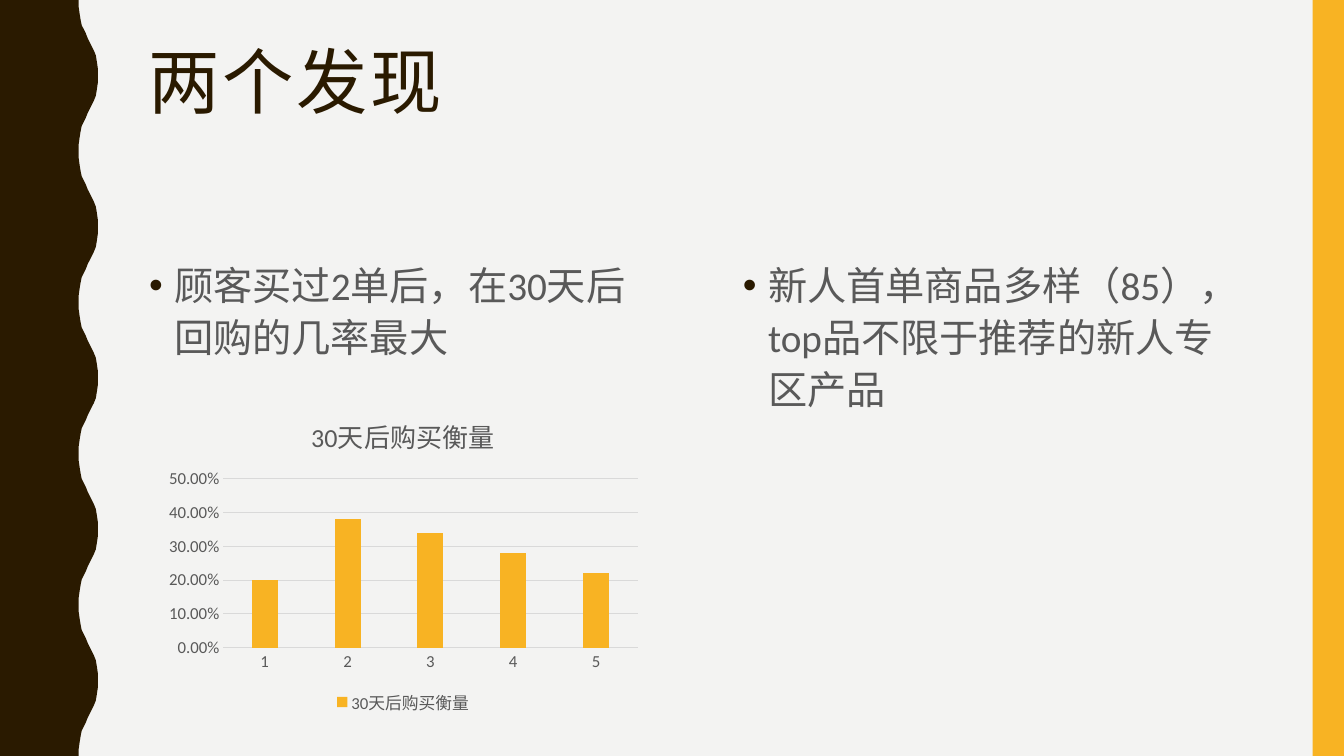
from collections import namedtuple

from lxml import etree
from pptx import Presentation
from pptx.chart.data import CategoryChartData
from pptx.dml.color import RGBColor
from pptx.enum.chart import XL_CHART_TYPE, XL_LEGEND_POSITION, XL_TICK_MARK
from pptx.enum.shapes import MSO_SHAPE
from pptx.enum.text import MSO_ANCHOR
from pptx.oxml.ns import qn
from pptx.util import Inches, Pt

Box = namedtuple("Box", "left top width height")

BROWN, AMBER, GREY, RULE, PAPER = "2A1A00", "F8B323", "595959", "D9D9D9", "F3F3F2"
TITLE_FONT, BODY_FONT = "Arial Narrow", "Calibri"
WAVES = 5
WAVE_RISE = [(78, 0), (78, 7), (79, 14), (80, 20), (81, 25), (83, 29), (85, 33),
             (87, 38), (89, 42), (91, 46), (93, 50), (95, 55), (96, 61), (97, 68), (97, 75)]
WAVE_LENGTH = 150
MEASURE = "30天后购买衡量"
REPURCHASE_RATES = {"1": 0.20, "2": 0.38, "3": 0.34, "4": 0.28, "5": 0.22}


def share(box, left, top, width, height):
    return Box(box.left + int(box.width * left / 100), box.top + int(box.height * top / 100),
               int(box.width * width / 100), int(box.height * height / 100))


def color(hex_value):
    return RGBColor.from_string(hex_value)


def apply(target, formats):
    for name, value in formats.items():
        setattr(target, name, value)


def style_font(font, size, hex_value, name=BODY_FONT):
    apply(font, {"size": Pt(size), "name": name, "bold": False})
    font.color.rgb = color(hex_value)


def paint(shape, hex_value):
    shape.shadow.inherit = False
    shape.fill.solid()
    shape.fill.fore_color.rgb = color(hex_value)
    shape.line.fill.background()


def add_text(slide, box, text, size, hex_value, font, formats):
    frame = slide.shapes.add_textbox(*box).text_frame
    apply(frame, {"word_wrap": True, "vertical_anchor": MSO_ANCHOR.TOP})
    paragraph = frame.paragraphs[0]
    apply(paragraph, formats)
    run = paragraph.add_run()
    run.text = text
    style_font(run.font, size, hex_value, font)
    return paragraph


def add_wavy_edge(slide, box):
    wave = WAVE_RISE + [(x, WAVE_LENGTH - y) for x, y in WAVE_RISE[-2::-1]]
    edge = [(x, y + turn * WAVE_LENGTH) for turn in range(WAVES) for x, y in wave]
    bottom = WAVES * WAVE_LENGTH
    builder = slide.shapes.build_freeform(0, 0, scale=(box.width / 97, box.height / bottom))
    builder.add_line_segments(edge + [(0, bottom)], close=True)
    paint(builder.convert_to_shape(box.left, box.top), BROWN)


def add_side_bar(slide, box):
    paint(slide.shapes.add_shape(MSO_SHAPE.RECTANGLE, *box), AMBER)


def add_title(slide, box, text):
    paragraph = add_text(slide, box, text, 51, BROWN, TITLE_FONT, {"line_spacing": 0.9})
    paragraph.runs[0].font._element.set("spc", "200")


def add_finding(slide, box, text):
    paragraph = add_text(slide, box, text, 28, GREY, BODY_FONT,
                         {"line_spacing": 1.1, "space_before": Pt(7)})
    properties = paragraph._p.get_or_add_pPr()
    properties.set("marL", str(Inches(0.25)))
    properties.set("indent", str(-Inches(0.25)))
    bullet_color = etree.SubElement(properties, qn("a:buClr"))
    etree.SubElement(bullet_color, qn("a:srgbClr"), val=BROWN)
    etree.SubElement(properties, qn("a:buFont"), typeface="Arial")
    etree.SubElement(properties, qn("a:buChar"), char="•")


def add_repurchase_chart(slide, box):
    data = CategoryChartData(number_format="0.00%")
    data.categories = list(REPURCHASE_RATES)
    data.add_series(MEASURE, list(REPURCHASE_RATES.values()))
    chart = slide.shapes.add_chart(XL_CHART_TYPE.COLUMN_CLUSTERED, *box, data).chart
    style_font(chart.font, 12, GREY)

    apply(chart, {"has_title": True, "has_legend": True})
    heading = chart.chart_title.text_frame
    heading.text = MEASURE
    style_font(heading.paragraphs[0].runs[0].font, 18.6, GREY)
    apply(chart.legend, {"position": XL_LEGEND_POSITION.BOTTOM, "include_in_layout": False})
    style_font(chart.legend.font, 12, GREY)

    orders, rates = chart.category_axis, chart.value_axis
    for axis in (orders, rates):
        apply(axis, {"major_tick_mark": XL_TICK_MARK.NONE, "minor_tick_mark": XL_TICK_MARK.NONE})
        style_font(axis.tick_labels.font, 12, GREY)
    apply(rates, {"minimum_scale": 0, "maximum_scale": 0.5, "major_unit": 0.1})
    apply(rates.tick_labels, {"number_format": "0.00%", "number_format_is_linked": False})
    rates.format.line.fill.background()
    for line in (orders.format.line, rates.major_gridlines.format.line):
        line.width = Pt(0.75)
        line.color.rgb = color(RULE)

    plot = chart.plots[0]
    apply(plot, {"gap_width": 219, "overlap": -27, "vary_by_categories": False})
    columns = plot.series[0].format.fill
    columns.solid()
    columns.fore_color.rgb = color(AMBER)


def add_findings_slide(deck):
    slide = deck.slides.add_slide(deck.slide_layouts[6])
    slide.background.fill.solid()
    slide.background.fill.fore_color.rgb = color(PAPER)
    page = Box(0, 0, deck.slide_width, deck.slide_height)
    add_wavy_edge(slide, share(page, 0, 0, 7.28, 100))
    add_side_bar(slide, share(page, 97.67, 0, 2.33, 100))
    add_title(slide, share(page, 10.28, 5.6, 83.5, 21.73), "两个发现")
    findings = ["顾客买过2单后，在30天后回购的几率最大",
                "新人首单商品多样（85），top品不限于推荐的新人专区产品"]
    for column, finding in enumerate(findings):
        add_finding(slide, share(page, 10.35 + 44.19 * column, 33.33, 39.38, 52.8), finding)
    add_repurchase_chart(slide, share(page, 11.85, 52.53, 36.31, 42.53))


deck = Presentation()
apply(deck, {"slide_width": Inches(13.33), "slide_height": Inches(7.5)})
add_findings_slide(deck)
deck.save("out.pptx")
